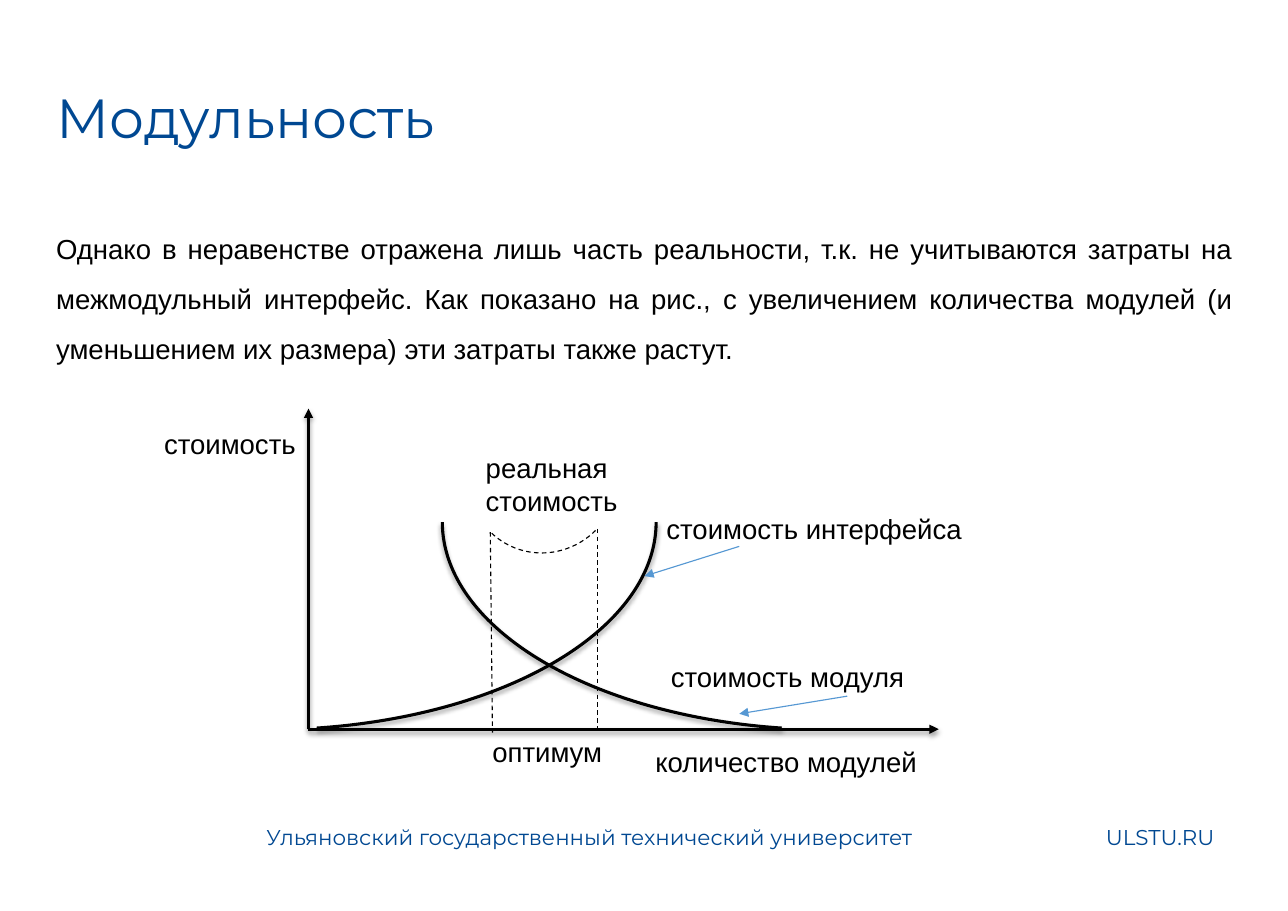
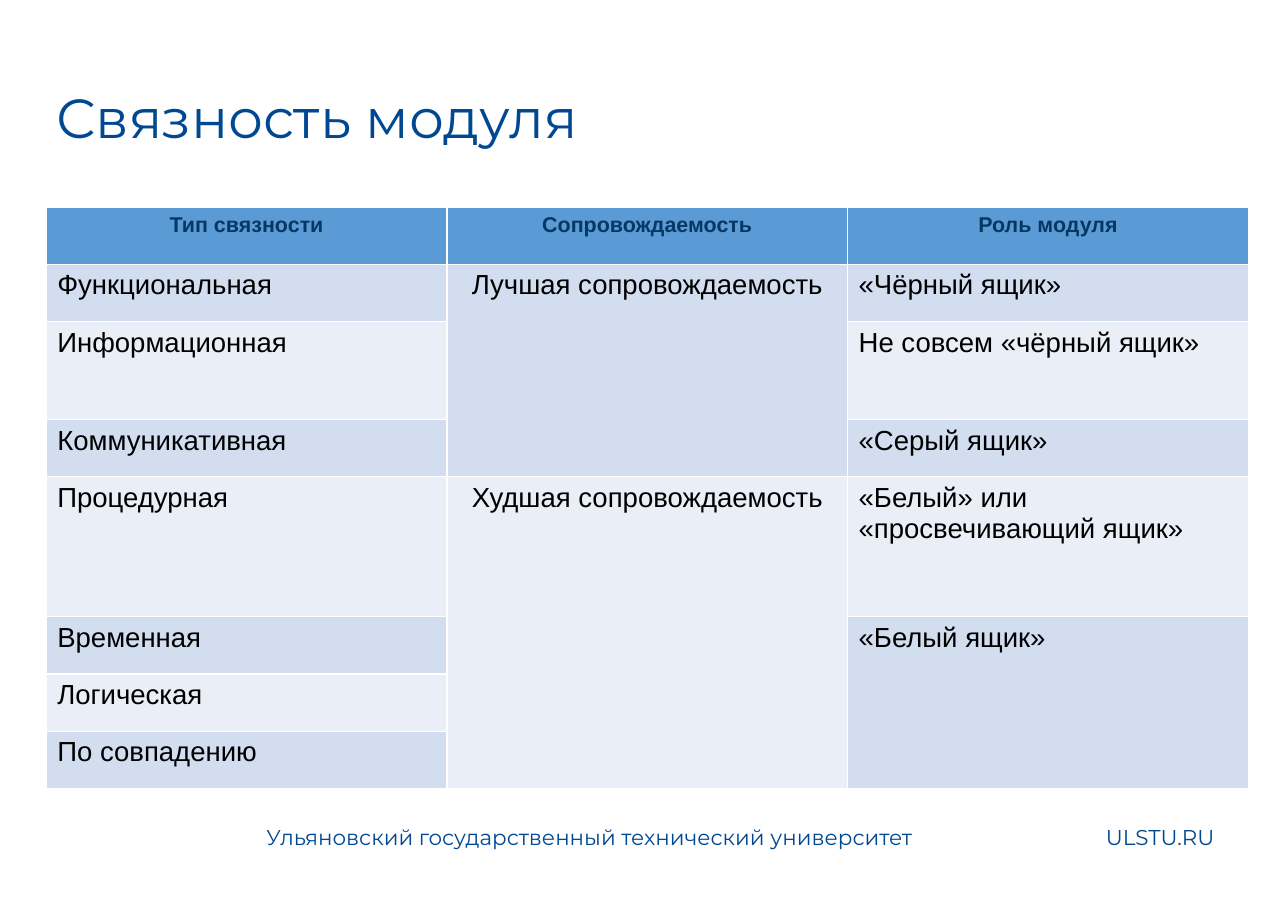
from dataclasses import dataclass

from lxml.etree import SubElement
from pptx import Presentation
from pptx.dml.color import RGBColor
from pptx.enum.dml import MSO_LINE
from pptx.enum.shapes import MSO_CONNECTOR, MSO_SHAPE
from pptx.enum.text import MSO_ANCHOR, MSO_AUTO_SIZE, PP_ALIGN
from pptx.oxml.ns import qn
from pptx.util import Inches, Pt


@dataclass(frozen=True)
class Theme:
    brand: str = "004892"
    ink: str = "000000"
    pointer: str = "5698D3"
    header_fill: str = "5B9BD5"
    header_ink: str = "073763"
    bands: tuple = ("D2DEEF", "EAEFF7")
    display_font: str = "Montserrat"
    body_font: str = "Arial"
    title_size: int = 36
    body_size: int = 18
    small_size: int = 14
    axis_width: float = 2
    thin_width: float = 0.75


THEME = Theme()
TITLE_STYLE = dict(name=THEME.display_font, size=Pt(THEME.title_size), color=THEME.brand)
FOOTER_STYLE = dict(name=THEME.display_font, size=Pt(THEME.small_size), color=THEME.brand)
BODY_STYLE = dict(name=THEME.body_font, size=Pt(THEME.body_size), color=THEME.ink, bold=False)
HEADER_STYLE = dict(name=THEME.body_font, size=Pt(THEME.small_size),
                    color=THEME.header_ink, bold=True)

# Boxes are left, top, width, height in inches
TITLE_BOX = (0.4, 0.72, 10.9, 0.92)
FOOTERS = [
    ("Ульяновский государственный технический университет", (2.32, 7.43, 6.2, 0.39)),
    ("ULSTU.RU", (9.94, 7.43, 1.4, 0.39)),
]

MODULARITY_TITLE = "Модульность"
MODULARITY_TEXT = (
    "Однако в неравенстве отражена лишь часть реальности, т.к. не учитываются "
    "затраты на межмодульный интерфейс. Как показано на рис., с увеличением "
    "количества модулей (и уменьшением их размера) эти затраты также растут."
)
MODULARITY_BOX = (0.4, 1.85, 10.9, 1.7)

ORIGIN = (2.8, 6.62)
AXIS_ENDS = [(2.8, 3.71), (8.52, 6.62)]
CURVE_SIZE = (3.77, 7.04)
CURVE_TOP = 1.22
CURVES = [  # left, rotation, mirrored
    (0.55, 90, False),
    (5.65, 270, True),
]
CURVE_ANGLES = (162, 208.06)
REAL_COST_ARC = (4.25, 3.68, 1.37, 1.33)
POINTERS = [((6.71, 4.96), (5.85, 5.23)), ((7.69, 6.32), (6.71, 6.48))]
OPTIMUM_BOUNDS = [((4.45, 4.83), (4.47, 6.65)), ((5.42, 4.8), (5.42, 6.62))]
GRAPH_LABELS = [  # text, box, wrapped
    ("стоимость", (1.39, 3.83, 1.41, 0.4), False),
    ("количество модулей", (5.85, 6.71, 2.6, 0.4), False),
    ("стоимость интерфейса", (5.95, 4.6, 2.91, 0.4), False),
    ("стоимость модуля", (5.99, 5.94, 2.34, 0.4), False),
    ("оптимум", (4.37, 6.62, 1.21, 0.4), False),
    ("реальная стоимость", (4.31, 4.04, 1.58, 0.71), True),
]

COHESION_TITLE = "Связность модуля"
COHESION_BOX = (0.42, 1.88, 10.91, 5.27)
COHESION_ROW_HEIGHTS = [0.52, 0.52, 0.89, 0.52, 1.27, 0.52, 0.52, 0.52]
COHESION_ROWS = [  # None continues the cell above
    ("Тип связности", "Сопровождаемость", "Роль модуля"),
    ("Функциональная", "Лучшая сопровождаемость", "«Чёрный ящик»"),
    ("Информационная", None, "Не совсем «чёрный ящик»"),
    ("Коммуникативная", None, "«Серый ящик»"),
    ("Процедурная", "Худшая сопровождаемость", "«Белый» или\n«просвечивающий ящик»"),
    ("Временная", None, "«Белый ящик»"),
    ("Логическая", None, None),
    ("По совпадению", None, None),
]
CENTRED_COLUMN = 1


def inches(values):
    return [Inches(value) for value in values]


def write(frame, text, style, align=PP_ALIGN.LEFT, spacing=None):
    frame.text = text
    for paragraph in frame.paragraphs:
        paragraph.alignment = align
        paragraph.line_spacing = spacing
        for key, value in style.items():
            if key == "color":
                paragraph.font.color.rgb = RGBColor.from_string(value)
            else:
                setattr(paragraph.font, key, value)


def set_margins(frame, margin):
    for side in ("left", "top", "right", "bottom"):
        setattr(frame, f"margin_{side}", Inches(margin))


def add_text(slide, text, box, style, wrap=True, **layout):
    frame = slide.shapes.add_textbox(*inches(box)).text_frame
    frame.word_wrap = wrap
    write(frame, text, style, **layout)
    return frame


def add_slide(deck, title):
    """Add a slide with the shared title style and footers."""
    slide = deck.slides.add_slide(deck.slide_layouts[5])
    heading = slide.shapes.title
    heading.left, heading.top, heading.width, heading.height = inches(TITLE_BOX)
    frame = heading.text_frame
    frame.auto_size = MSO_AUTO_SIZE.NONE
    frame.vertical_anchor = MSO_ANCHOR.TOP
    set_margins(frame, 0.11)
    write(frame, title, TITLE_STYLE, spacing=0.9)
    for text, box in FOOTERS:
        add_text(slide, text, box, FOOTER_STYLE)
    return slide


def style_stroke(shape, color, width, dashed=False, arrow=False, shadow=False):
    line = shape.line
    line.color.rgb = RGBColor.from_string(color)
    line.width = Pt(width)
    if dashed:
        line.dash_style = MSO_LINE.DASH
    properties = shape.element.spPr
    if arrow:
        SubElement(properties.find(qn("a:ln")), qn("a:tailEnd"), type="triangle")
    effects = SubElement(properties, qn("a:effectLst"))
    if shadow:
        outer = SubElement(effects, qn("a:outerShdw"), blurRad="40000", dist="20000",
                           dir="5400000", rotWithShape="0")
        tint = SubElement(outer, qn("a:srgbClr"), val=THEME.ink)
        SubElement(tint, qn("a:alpha"), val="38000")


def add_line(slide, start, end, **stroke):
    line = slide.shapes.add_connector(MSO_CONNECTOR.STRAIGHT, *inches(start + end))
    style_stroke(line, **stroke)


def add_arc(slide, box, rotation, angles=(), mirrored=False, **stroke):
    arc = slide.shapes.add_shape(MSO_SHAPE.ARC, *inches(box))
    arc.rotation = rotation
    for index, angle in enumerate(angles):
        arc.adjustments[index] = angle
    if mirrored:
        arc.element.spPr.get_or_add_xfrm().set("flipH", "1")
    arc.fill.background()
    style_stroke(arc, **stroke)


def build_modularity(deck):
    slide = add_slide(deck, MODULARITY_TITLE)
    body = add_text(slide, MODULARITY_TEXT, MODULARITY_BOX, BODY_STYLE,
                    align=PP_ALIGN.JUSTIFY, spacing=1.5)
    set_margins(body, 0.11)

    solid = dict(color=THEME.ink, width=THEME.axis_width, shadow=True)
    dashed = dict(color=THEME.ink, width=THEME.thin_width, dashed=True)
    for end in AXIS_ENDS:
        add_line(slide, ORIGIN, end, arrow=True, **solid)
    for left, rotation, mirrored in CURVES:
        add_arc(slide, (left, CURVE_TOP, *CURVE_SIZE), rotation, CURVE_ANGLES,
                mirrored, **solid)
    for start, end in POINTERS:
        add_line(slide, start, end, color=THEME.pointer, width=THEME.thin_width, arrow=True)
    for start, end in OPTIMUM_BOUNDS:
        add_line(slide, start, end, **dashed)
    add_arc(slide, REAL_COST_ARC, 135, **dashed)
    for text, box, wrap in GRAPH_LABELS:
        add_text(slide, text, box, BODY_STYLE, wrap)


def build_cohesion(deck):
    slide = add_slide(deck, COHESION_TITLE)
    row_count, column_count = len(COHESION_ROWS), len(COHESION_ROWS[0])
    table = slide.shapes.add_table(row_count, column_count, *inches(COHESION_BOX)).table
    for row, height in zip(table.rows, COHESION_ROW_HEIGHTS):
        row.height = Inches(height)

    for r, texts in enumerate(COHESION_ROWS):
        header = r == 0
        fill = THEME.header_fill if header else THEME.bands[(r - 1) % 2]
        for c, text in enumerate(texts):
            if text is None:
                continue
            cell = table.cell(r, c)
            cell.fill.solid()
            cell.fill.fore_color.rgb = RGBColor.from_string(fill)
            centred = header or c == CENTRED_COLUMN
            write(cell.text_frame, text, HEADER_STYLE if header else BODY_STYLE,
                  PP_ALIGN.CENTER if centred else PP_ALIGN.LEFT)
            last = r
            while last + 1 < row_count and COHESION_ROWS[last + 1][c] is None:
                last += 1
            if last > r:
                cell.merge(table.cell(last, c))


def main():
    deck = Presentation()
    deck.slide_width, deck.slide_height = inches((11.69, 8.27))
    build_modularity(deck)
    build_cohesion(deck)
    deck.save("out.pptx")


if __name__ == "__main__":
    main()
